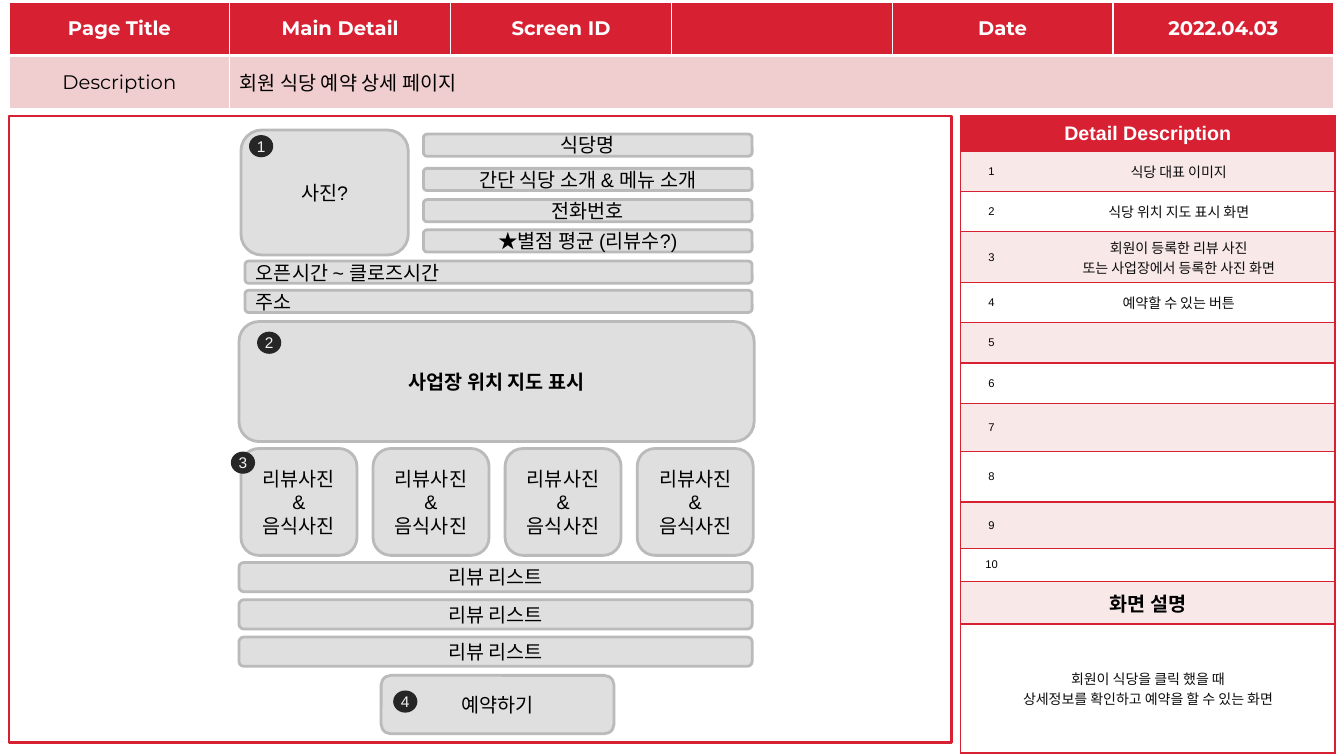
from lxml import etree
from pptx import Presentation
from pptx.dml.color import RGBColor
from pptx.enum.shapes import MSO_SHAPE as SHAPE
from pptx.enum.text import MSO_ANCHOR as ANCHOR, PP_ALIGN as ALIGN
from pptx.oxml.ns import qn
from pptx.util import Pt

PX = 9144  # 100 px to the inch

RED = RGBColor(0xD8, 0x20, 0x33)
PINK = RGBColor(0xF0, 0xCD, 0xCE)
PALE = RGBColor(0xF8, 0xE8, 0xE8)
WHITE = RGBColor(0xFF, 0xFF, 0xFF)
BLACK = RGBColor(0x00, 0x00, 0x00)
INK = RGBColor(0x0D, 0x0D, 0x0D)
BOX = RGBColor(0xDF, 0xDF, 0xDF)
EDGE = RGBColor(0xBA, 0xBA, 0xBA)
DARK = RGBColor(0x26, 0x26, 0x26)
LIGHT = RGBColor(0xF2, 0xF2, 0xF2)


class Wireframe:
    def __init__(self, prs, font="Arial", title_font="Montserrat"):
        self.s = prs.slides.add_slide(prs.slide_layouts[6])
        self.font, self.title_font = font, title_font

    def text(self, tf, text, size=14, color=BLACK, bold=False,
             align=ALIGN.CENTER, font=None):
        for i, line in enumerate(text.split("\n")):
            p = tf.paragraphs[0] if i == 0 else tf.add_paragraph()
            p.alignment = align
            r = p.add_run()
            r.text = line
            f = r.font
            f.name, f.size, f.bold = font or self.font, Pt(size), bold
            f.color.rgb = color

    def shape(self, kind, x, y, w, h, fill, line=None):
        sp = self.s.shapes.add_shape(kind, x * PX, y * PX, w * PX, h * PX)
        sp.shadow.inherit = False
        sp.fill.solid()
        sp.fill.fore_color.rgb = fill
        if line is None:
            sp.line.fill.background()
        else:
            sp.line.color.rgb = line
            sp.line.width = Pt(2)
        return sp

    def box(self, x, y, w, h, text, **style):
        sp = self.shape(SHAPE.ROUNDED_RECTANGLE, x, y, w, h, BOX, EDGE)
        sp.text_frame.vertical_anchor = ANCHOR.MIDDLE
        self.text(sp.text_frame, text, **style)

    def badge(self, x, y, number):
        sp = self.shape(SHAPE.OVAL, x, y, 24, 22, DARK)
        tf = sp.text_frame
        tf.margin_left = tf.margin_right = tf.margin_top = tf.margin_bottom = 0
        tf.word_wrap = False
        tf.vertical_anchor = ANCHOR.MIDDLE
        self.text(tf, str(number), size=11, color=LIGHT)

    def table(self, x, y, cols, rows):
        tbl = self.s.shapes.add_table(len(rows), len(cols), x * PX, y * PX,
                                      sum(cols) * PX, sum(rows) * PX).table
        for col, w in zip(tbl.columns, cols):
            col.width = w * PX
        for row, h in zip(tbl.rows, rows):
            row.height = h * PX
        return tbl

    def cell(self, cell, text, fill, border, widths=(1, 1, 1, 1), **style):
        """Fill a cell; widths are its left, right, top and bottom borders."""
        tcPr = cell._tc.get_or_add_tcPr()
        for side, width in zip("LRTB", widths):
            ln = etree.SubElement(tcPr, qn(f"a:ln{side}"), w=str(Pt(width)))
            if width:
                paint = etree.SubElement(ln, qn("a:solidFill"))
                etree.SubElement(paint, qn("a:srgbClr"), val=str(border))
            else:
                etree.SubElement(ln, qn("a:noFill"))
        cell.fill.solid()
        cell.fill.fore_color.rgb = fill
        cell.vertical_anchor = ANCHOR.MIDDLE
        if text:
            self.text(cell.text_frame, text, **style)
        else:
            p = cell.text_frame.paragraphs[0]
            etree.SubElement(p._p, qn("a:endParaRPr"), sz="1000")


def add_header(wf):
    titles = ["Page Title", "Main Detail", "Screen ID", "", "Date", "2022.04.03"]
    about = ["Description", "회원 식당 예약 상세 페이지", "", "", "", ""]
    tbl = wf.table(9, 2, [219] * 6, [53, 53])
    tbl.cell(1, 1).merge(tbl.cell(1, 5))
    for c, (title, note) in enumerate(zip(titles, about)):
        wf.cell(tbl.cell(0, c), title, RED, WHITE, (1, 1, 1, 3),
                color=WHITE, bold=True, font=wf.title_font)
        wf.cell(tbl.cell(1, c), note, PINK, WHITE, (1, 1, 3, 1),
                align=ALIGN.LEFT if c else ALIGN.CENTER, font=wf.title_font)


def add_details(wf):
    notes = ["식당 대표 이미지", "식당 위치 지도 표시 화면",
             "회원이 등록한 리뷰 사진\n또는 사업장에서 등록한 사진 화면",
             "예약할 수 있는 버튼"] + [""] * 6
    tbl = wf.table(953, 115, [61, 310],
                   [35] + [40] * 6 + [48, 50, 46, 33, 42, 128])
    for n, note in enumerate(notes, 1):
        fill = PALE if n % 2 else WHITE
        wf.cell(tbl.cell(n, 0), str(n), fill, RED, (1, 0, 1, 1), size=8)
        wf.cell(tbl.cell(n, 1), note, fill, RED, (0, 1, 1, 1), size=10, color=INK)

    summary = "회원이 식당을 클릭 했을 때\n상세정보를 확인하고 예약을 할 수 있는 화면"
    full_rows = [
        (0, "Detail Description", RED, dict(color=WHITE, bold=True)),
        (11, "화면 설명", PALE, dict(bold=True)),
        (12, summary, WHITE, dict(size=10, color=INK)),
    ]
    for n, text, fill, style in full_rows:
        tbl.cell(n, 0).merge(tbl.cell(n, 1))
        wf.cell(tbl.cell(n, 0), text, fill, RED, **style)
        wf.cell(tbl.cell(n, 1), "", fill, RED)


def add_screen(wf):
    wf.box(239, 129, 166, 124, "사진?")
    for y, text in [(133, "식당명"), (167, "간단 식당 소개 & 메뉴 소개"),
                    (198, "전화번호"), (228, "★별점 평균 (리뷰수?)")]:
        wf.box(420, y, 326, 22, text)
    for y, text in [(259, "오픈시간 ~ 클로즈시간"), (288, "주소")]:
        wf.box(243, y, 503, 22, text, align=ALIGN.LEFT)
    wf.box(237, 319, 511, 119, "사업장 위치 지도 표시", bold=True)
    for i in range(4):
        wf.box(239 + 131 * i, 445, 115, 106, "리뷰사진\n&\n음식사진")
    for i in range(3):
        wf.box(237, 558 + 37 * i, 509, 29, "리뷰 리스트")
    wf.box(378, 670, 231, 58, "예약하기")
    for n, (x, y) in enumerate([(247, 134), (255, 329), (229, 448), (390, 685)], 1):
        wf.badge(x, y, n)


def main():
    prs = Presentation()
    prs.slide_width, prs.slide_height = 1333 * PX, 750 * PX
    wf = Wireframe(prs)
    wf.shape(SHAPE.RECTANGLE, 9, 115, 935, 622, WHITE, RED)
    add_header(wf)
    add_details(wf)
    add_screen(wf)
    prs.save("out.pptx")


if __name__ == "__main__":
    main()
